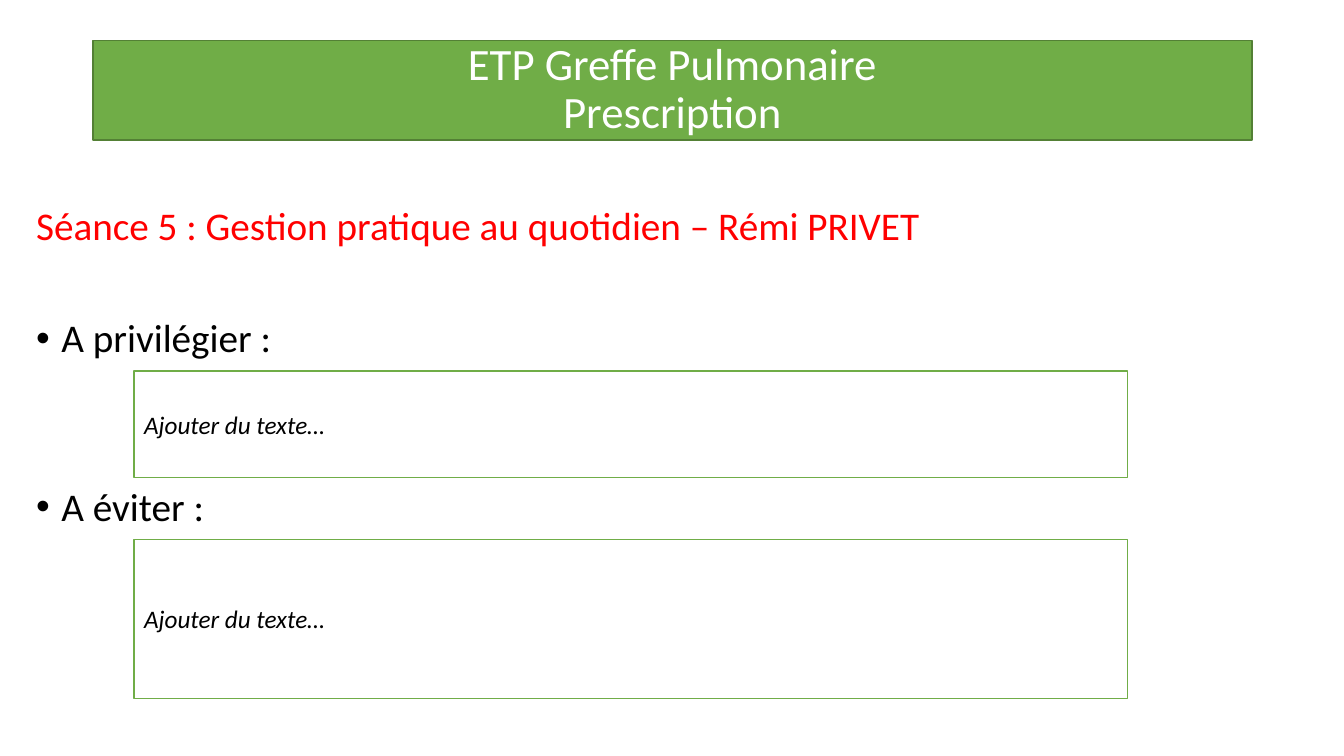
import pptx
import pptx.util
import pptx.dml.color
import pptx.enum.shapes
import pptx.enum.text
import pptx.oxml.ns
from lxml import etree

Cm, Pt = pptx.util.Cm, pptx.util.Pt
ALIGN = pptx.enum.text.PP_ALIGN
GREEN, DARK_GREEN, WHITE, BLACK, RED = "70AD47", "538035", "FFFFFF", "000000", "FF0000"

# Content
TITLE_LINES = ["ETP Greffe Pulmonaire", "Prescription"]
PROMPT = "Ajouter du texte…"
# text, colour, bulleted, space before in points
BODY = [
    ("Séance 5 : Gestion pratique au quotidien – Rémi PRIVET", RED, False, 0),
    ("A privilégier :", BLACK, True, 50),
    ("A éviter :", BLACK, True, 90),
]
ANSWER_BOXES = [(9.35, 2.69), (13.59, 4.01)]  # top, height in cm


def color(value):
    return pptx.dml.color.RGBColor.from_string(value)


def add_run(paragraph, text, size, hex_color, italic=None):
    run = paragraph.add_run()
    run.text = text
    run.font.name = "Calibri"
    run.font.size = Pt(size)
    run.font.italic = italic
    run.font.color.rgb = color(hex_color)


def add_bullet(paragraph):
    properties = paragraph._p.get_or_add_pPr()
    properties.set("marL", str(Cm(0.64)))
    properties.set("indent", str(-Cm(0.64)))
    for tag, name, value in (("a:buFont", "typeface", "Arial"), ("a:buChar", "char", "•")):
        etree.SubElement(properties, pptx.oxml.ns.qn(tag)).set(name, value)


def add_box(left, top, width, height, fill, line, alignment):
    shape = slide.shapes.add_shape(pptx.enum.shapes.MSO_SHAPE.RECTANGLE,
                                   Cm(left), Cm(top), Cm(width), Cm(height))
    shape.shadow.inherit = False
    shape.fill.solid()
    shape.fill.fore_color.rgb = color(fill)
    shape.line.color.rgb = color(line)
    shape.line.width = Pt(1)
    shape.text_frame.word_wrap = True
    shape.text_frame.vertical_anchor = pptx.enum.text.MSO_ANCHOR.MIDDLE
    paragraph = shape.text_frame.paragraphs[0]
    paragraph.alignment = alignment
    return paragraph


presentation = pptx.Presentation()
presentation.slide_width, presentation.slide_height = Cm(33.87), Cm(19.05)
slide = presentation.slides.add_slide(presentation.slide_layouts[6])

# Session heading and bullets
text_frame = slide.shapes.add_textbox(Cm(0.66), Cm(5.08), Cm(30.86), Cm(12.09)).text_frame
text_frame.word_wrap = True
for index, (text, hex_color, bulleted, space) in enumerate(BODY):
    paragraph = text_frame.add_paragraph() if index else text_frame.paragraphs[0]
    paragraph.line_spacing = 0.9
    paragraph.space_before = Pt(space)
    if bulleted:
        add_bullet(paragraph)
    add_run(paragraph, text, 28, hex_color)

# Title banner
paragraph = add_box(2.34, 1.02, 29.21, 2.51, GREEN, DARK_GREEN, ALIGN.CENTER)
paragraph.line_spacing = 0.9
for index, line in enumerate(TITLE_LINES):
    if index:
        paragraph.add_line_break()
    add_run(paragraph, line, 32, WHITE)

# Answer boxes
for top, height in ANSWER_BOXES:
    paragraph = add_box(3.38, top, 25.04, height, WHITE, GREEN, ALIGN.LEFT)
    add_run(paragraph, PROMPT, 18, BLACK, italic=True)

presentation.save("out.pptx")
